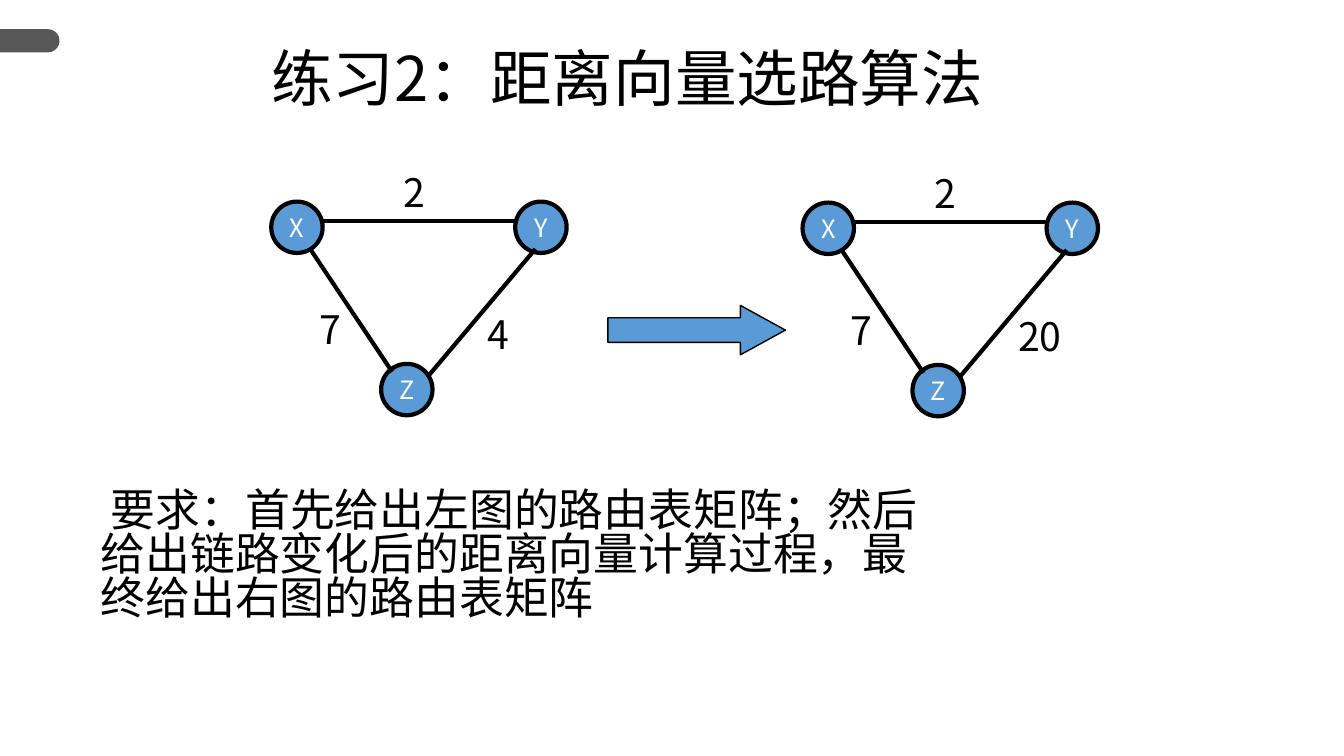
import math
from typing import Any, NamedTuple

import pptx
import pptx.dml.color
import pptx.enum.shapes
import pptx.enum.text
import pptx.util
from lxml import etree

PX = 9144  # EMU per px, 100 px to the inch
FONT = "Noto Sans CJK SC"
COLORS = {"ink": "000000", "node": "5B9BD5", "node_text": "FFFFFF", "tab": "575757"}
NODE_SIZE = 51
LABEL_HEIGHT = 57

SHAPE = pptx.enum.shapes.MSO_SHAPE
ALIGN = pptx.enum.text.PP_ALIGN
ANCHOR = pptx.enum.text.MSO_ANCHOR


class Node(NamedTuple):
    name: str
    x: int
    y: int


class Link(NamedTuple):
    x1: int
    y1: int
    x2: int
    y2: int


class Cost(NamedTuple):
    text: str
    x: int
    y: int
    width: int = 38


class Network(NamedTuple):
    dx: int
    dy: int
    yz_cost: Cost


NODES = [Node("X", 269, 200), Node("Y", 511, 200), Node("Z", 378, 361)]
LINKS = [Link(318, 219, 511, 219), Link(307, 246, 389, 369), Link(424, 374, 531, 247)]
COSTS = [Cost("2", 390, 167), Cost("7", 307, 303)]
NETWORKS = [
    Network(0, 0, Cost("4", 474, 308)),
    Network(527, 1, Cost("20", 473, 309, 79)),
]


def px(*lengths: int) -> list[int]:
    return [pptx.util.Emu(n * PX) for n in lengths]


def rgb(name: str) -> pptx.dml.color.RGBColor:
    return pptx.dml.color.RGBColor.from_string(COLORS[name])


def write(sp: Any, text: str, size: int, color: str = "ink", align: Any = ALIGN.LEFT,
          anchor: Any = ANCHOR.TOP, wrap: bool = True, spacing: float = 1.0) -> None:
    tf = sp.text_frame
    tf.text = text
    tf.word_wrap = wrap
    tf.vertical_anchor = anchor
    p = tf.paragraphs[0]
    p.alignment = align
    p.line_spacing = spacing
    for r in p.runs:
        r.font.size = pptx.util.Pt(size)
        r.font.name = FONT
        r.font.color.rgb = rgb(color)
        ea = etree.SubElement(r.font._element, pptx.oxml.ns.qn("a:ea"))
        ea.set("typeface", FONT)


def paint(sp: Any, fill: str, line_width: int) -> None:
    sp.shadow.inherit = False
    sp.fill.solid()
    sp.fill.fore_color.rgb = rgb(fill)
    if line_width:
        sp.line.color.rgb = rgb("ink")
        sp.line.width = pptx.util.Pt(line_width)
    else:
        sp.line.fill.background()


def add_network(shapes: Any, net: Network) -> None:
    group = shapes.add_group_shape().shapes
    for node in NODES:
        sp = group.add_shape(SHAPE.OVAL, *px(node.x + net.dx, node.y + net.dy,
                                             NODE_SIZE, NODE_SIZE))
        paint(sp, "node", 3)
        write(sp, node.name, 18, "node_text", ALIGN.CENTER, ANCHOR.MIDDLE, wrap=False)
    for link in LINKS:
        line = group.add_connector(
            pptx.enum.shapes.MSO_CONNECTOR.STRAIGHT,
            *px(link.x1 + net.dx, link.y1 + net.dy, link.x2 + net.dx, link.y2 + net.dy))
        line.line.color.rgb = rgb("ink")
        line.line.width = pptx.util.Pt(3)
        etree.SubElement(line._element.spPr, pptx.oxml.ns.qn("a:effectLst"))
    for cost in [*COSTS, net.yz_cost]:
        box = group.add_textbox(*px(cost.x + net.dx, cost.y + net.dy,
                                    cost.width, LABEL_HEIGHT))
        write(box, cost.text, 28, spacing=0.9)


def add_corner_tab(shapes: Any, top: int, width: int, height: int) -> None:
    """Draw a bar from the left edge with a half-round right end."""
    radius = height / 2
    angles = [math.radians(a) for a in range(-90, 91, 10)]
    end = [(width - radius + radius * math.cos(a), top + radius + radius * math.sin(a))
           for a in angles]
    builder = shapes.build_freeform(0, top * PX, scale=1.0)
    points = [(round(x * PX), round(y * PX)) for x, y in end]
    builder.add_line_segments([*points, (0, (top + height) * PX)], close=True)
    paint(builder.convert_to_shape(), "tab", 0)


def main() -> None:
    prs = pptx.Presentation()
    prs.slide_width, prs.slide_height = px(1333, 750)
    shapes = prs.slides.add_slide(prs.slide_layouts[6]).shapes

    add_corner_tab(shapes, 29, 59, 23)
    title = shapes.add_textbox(*px(193, 52, 845, 125))
    write(title, " 练习2：距离向量选路算法", 44, align=ALIGN.CENTER, spacing=0.74)

    for net in NETWORKS:
        add_network(shapes, net)
    arrow = shapes.add_shape(SHAPE.RIGHT_ARROW, *px(603, 303, 176, 49))
    arrow.adjustments[0], arrow.adjustments[1] = 0.5, 0.91
    paint(arrow, "node", 1)

    task = shapes.add_textbox(*px(90, 448, 845, 210))
    write(task, " 要求：首先给出左图的路由表矩阵；然后给出链路变化后的距离向量计算过程，"
                "最终给出右图的路由表矩阵", 32, anchor=ANCHOR.MIDDLE, spacing=0.82)
    prs.save("out.pptx")


if __name__ == "__main__":
    main()
